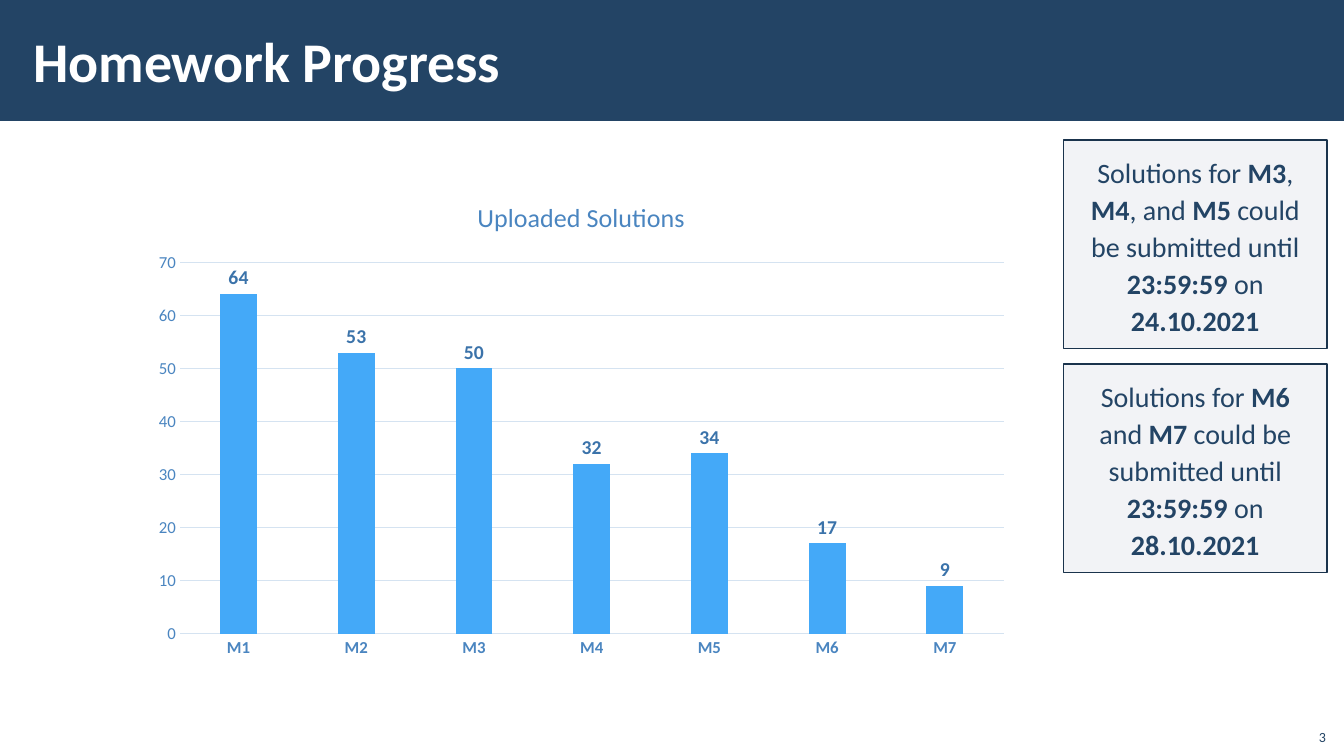
from lxml import etree
from pptx import Presentation
from pptx.chart.data import CategoryChartData
from pptx.dml.color import RGBColor
from pptx.enum.chart import XL_CHART_TYPE, XL_LABEL_POSITION, XL_TICK_MARK
from pptx.enum.shapes import MSO_SHAPE
from pptx.enum.text import MSO_ANCHOR, PP_ALIGN
from pptx.oxml.ns import qn
from pptx.util import Inches, Pt

# Content; text between ** marks is bold
TITLE = "Homework Progress"
PAGE = "3"
CHART_TITLE = "Uploaded Solutions"
UPLOADS = {"M1": 64, "M2": 53, "M3": 50, "M4": 32, "M5": 34, "M6": 17, "M7": 9}
DEADLINES = [
    "Solutions for **M3**, **M4**, and **M5** could be submitted until **23:59:59** on** 24.10.2021**",
    "Solutions for **M6** and **M7** could be submitted until **23:59:59** on** 28.10.2021**",
]


class Theme:
    font = "Calibri"
    navy = RGBColor.from_string("234465")
    white = RGBColor.from_string("FFFFFF")
    bar = RGBColor.from_string("44A9F8")
    axis = RGBColor.from_string("4A85C0")
    label = RGBColor.from_string("3B73AA")
    grid = RGBColor.from_string("D5E3F1")
    note_fill = RGBColor.from_string("ADB4C3")
    note_line = RGBColor.from_string("1A334C")
    note_opacity = 15
    title_size, note_size, page_size = 40, 20, 10
    chart_title_size, axis_size, label_size = 18.6, 12, 14


def style(font, size, color, bold=False):
    font.name, font.size, font.bold = Theme.font, Pt(size), bold
    font.color.rgb = color


def set_frame(tf, anchor, inset_x, inset_y):
    tf.word_wrap = True
    tf.vertical_anchor = anchor
    tf.margin_left = tf.margin_right = Inches(inset_x)
    tf.margin_top = tf.margin_bottom = Inches(inset_y)


def add_box(s, left, top, width, height, fill):
    sp = s.shapes.add_shape(MSO_SHAPE.RECTANGLE, Inches(left), Inches(top),
                            Inches(width), Inches(height))
    sp.shadow.inherit = False
    sp.fill.solid()
    sp.fill.fore_color.rgb = fill
    sp.line.fill.background()
    return sp


def add_text(s, text, left, top, width, height, size, color, anchor, align, bold=False):
    sp = s.shapes.add_textbox(Inches(left), Inches(top), Inches(width), Inches(height))
    set_frame(sp.text_frame, anchor, 0.1, 0.05)
    p = sp.text_frame.paragraphs[0]
    p.text = text
    p.alignment = align
    style(p.runs[0].font, size, color, bold)
    return sp


def add_note(s, text, left, top, width, height):
    sp = add_box(s, left, top, width, height, Theme.note_fill)
    color = sp.fill._xPr.find(".//" + qn("a:srgbClr"))
    etree.SubElement(color, qn("a:alpha"), val=str(Theme.note_opacity * 1000))
    sp.line.color.rgb = Theme.note_line
    sp.line.width = Pt(1)
    set_frame(sp.text_frame, MSO_ANCHOR.TOP, 0.16, 0.12)
    p = sp.text_frame.paragraphs[0]
    p.alignment = PP_ALIGN.CENTER
    p.line_spacing = 1.1
    for i, part in enumerate(text.split("**")):
        if part:
            r = p.add_run()
            r.text = part
            style(r.font, Theme.note_size, Theme.navy, i % 2 == 1)


def add_upload_chart(s, left, top, width, height):
    data = CategoryChartData()
    data.categories = list(UPLOADS)
    data.add_series(CHART_TITLE, list(UPLOADS.values()))
    chart = s.shapes.add_chart(XL_CHART_TYPE.COLUMN_CLUSTERED, Inches(left), Inches(top),
                               Inches(width), Inches(height), data).chart
    style(chart.font, Theme.page_size, Theme.navy)
    chart.has_legend = False
    chart.has_title = True
    chart.chart_title.include_in_layout = False
    p = chart.chart_title.text_frame.paragraphs[0]
    p.text = CHART_TITLE
    style(p.runs[0].font, Theme.chart_title_size, Theme.axis)

    # Axes and gridlines
    cat, val = chart.category_axis, chart.value_axis
    for axis in (cat, val):
        axis.major_tick_mark = axis.minor_tick_mark = XL_TICK_MARK.NONE
        style(axis.tick_labels.font, Theme.axis_size, Theme.axis, axis is cat)
    val.minimum_scale, val.maximum_scale, val.major_unit = 0, 70, 10
    val.has_major_gridlines = True
    val.format.line.fill.background()
    for line in (cat.format.line, val.major_gridlines.format.line):
        line.color.rgb = Theme.grid
        line.width = Pt(0.75)

    # Bars and their values
    plot = chart.plots[0]
    plot.vary_by_categories = False
    plot.gap_width, plot.overlap = 219, -27
    fill = plot.series[0].format.fill
    fill.solid()
    fill.fore_color.rgb = Theme.bar
    labels = plot.series[0].data_labels
    labels.show_value = True
    labels.position = XL_LABEL_POSITION.OUTSIDE_END
    style(labels.font, Theme.label_size, Theme.label, True)


def main():
    prs = Presentation()
    prs.slide_width, prs.slide_height = Inches(13.33), Inches(7.5)
    s = prs.slides.add_slide(prs.slide_layouts[6])

    # Header band, title and page number
    add_box(s, 0, 0, 13.33, 1.2, Theme.navy)
    title = add_text(s, TITLE, 0.21, 0.11, 10.63, 0.97, Theme.title_size, Theme.white,
                     MSO_ANCHOR.MIDDLE, PP_ALIGN.LEFT, True)
    set_frame(title.text_frame, MSO_ANCHOR.MIDDLE, 0.12, 0.04)
    add_text(s, PAGE, 12.85, 7.12, 0.4, 0.32, Theme.page_size, Theme.navy,
             MSO_ANCHOR.BOTTOM, PP_ALIGN.RIGHT)

    # Chart, with the deadline notes stacked beside it
    add_upload_chart(s, 1.4, 1.78, 8.73, 4.84)
    note_top, note_height, note_gap = 1.39, 2.07, 0.15
    for i, text in enumerate(DEADLINES):
        add_note(s, text, 10.55, note_top + i * (note_height + note_gap), 2.61, note_height)

    prs.save("out.pptx")


if __name__ == "__main__":
    main()
